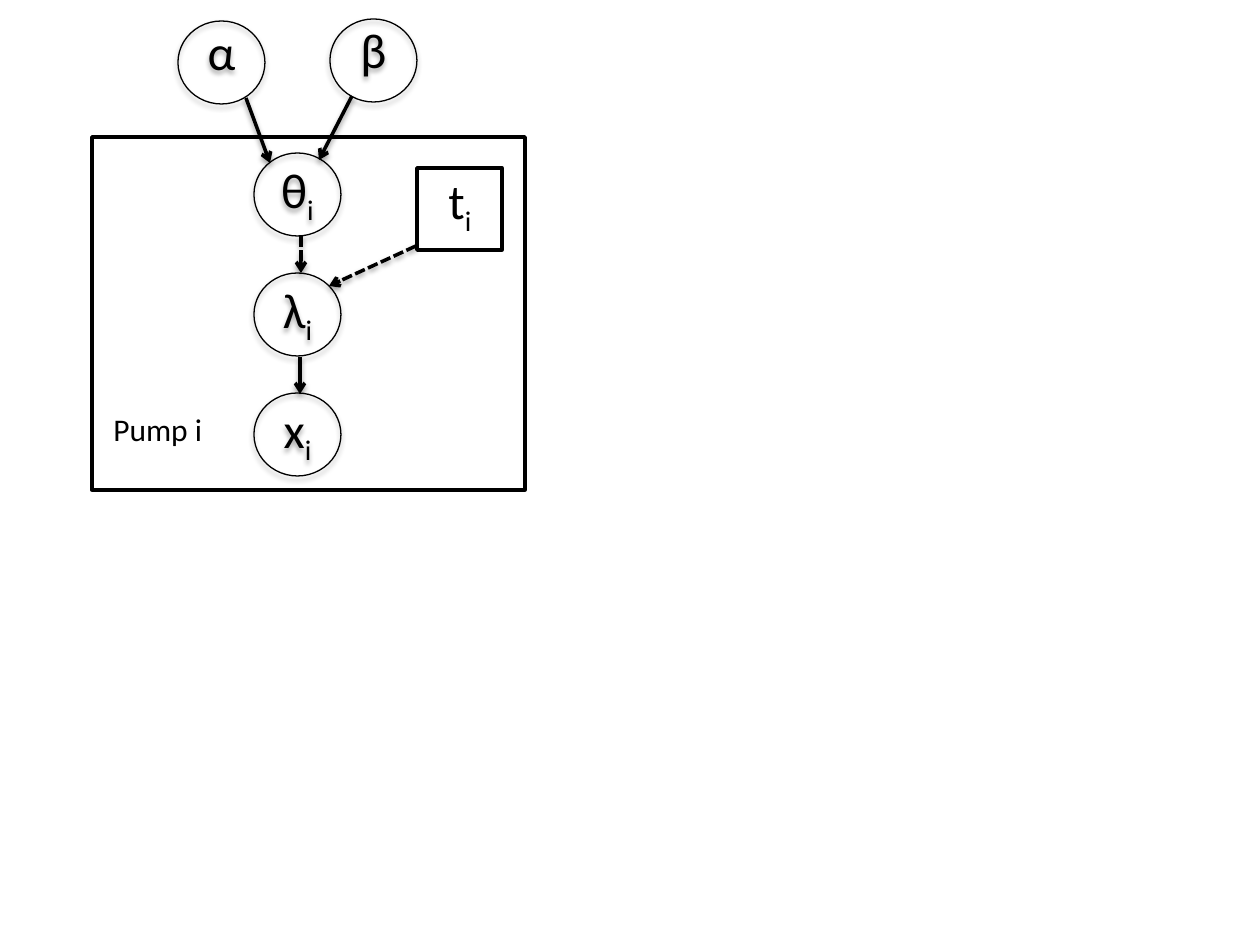
import pptx
import pptx.util
import pptx.dml.color
import pptx.enum.dml
import pptx.enum.shapes
import pptx.enum.text
import pptx.oxml.ns
import lxml.etree

BLACK = pptx.dml.color.RGBColor(0, 0, 0)
WHITE = pptx.dml.color.RGBColor(255, 255, 255)
SCALE = 914400 // 126
NODE_W, NODE_H = 87, 83
SHAPES = pptx.enum.shapes.MSO_SHAPE
Pt = pptx.util.Pt


def px(*values):
    return [round(v * SCALE) for v in values]


def add_child(parent, tag, **attrs):
    child = lxml.etree.SubElement(parent, pptx.oxml.ns.qn(tag))
    for name, value in attrs.items():
        child.set(name, str(value))
    return child


def add_shadow(effects, dist, alpha):
    shadow = add_child(effects, "a:outerShdw", blurRad=Pt(3.1), dist=Pt(dist),
                       dir=5400000, rotWithShape=0)
    color = add_child(shadow, "a:srgbClr", val="000000")
    add_child(color, "a:alpha", val=alpha * 1000)


def add_run(p, text, size, subscript=False):
    r = p.add_run()
    r.text = text
    r.font.size = Pt(size)
    r.font.name = "Calibri"
    r.font.color.rgb = BLACK
    if subscript:
        r._r.get_or_add_rPr().set("baseline", "-25000")


def add_symbol(p, symbol, index):
    add_run(p, symbol, 28)
    if index:
        add_run(p, index, 28, subscript=True)


def add_outline(s, kind, box, width, fill=None):
    sp = s.shapes.add_shape(kind, *px(*box))
    sp.shadow.inherit = False
    if fill is None:
        sp.fill.background()
    else:
        sp.fill.solid()
        sp.fill.fore_color.rgb = fill
    sp.line.color.rgb = BLACK
    sp.line.width = Pt(width)
    return sp


def add_node(s, x, y, symbol, index=""):
    sp = add_outline(s, SHAPES.OVAL, (x, y, NODE_W, NODE_H), 0.75)
    add_shadow(sp._element.spPr.find(pptx.oxml.ns.qn("a:effectLst")), 1.8, 35)
    tf = sp.text_frame
    tf.word_wrap = False
    tf.vertical_anchor = pptx.enum.text.MSO_ANCHOR.MIDDLE
    bottom = 6 if index else 30
    tf.margin_left, tf.margin_top, tf.margin_right, tf.margin_bottom = px(0, 6, 0, bottom)
    p = tf.paragraphs[0]
    p.alignment = pptx.enum.text.PP_ALIGN.CENTER
    if index:
        p.line_spacing = 0.7
    add_symbol(p, symbol, index)


def add_label(s, box):
    tf = s.shapes.add_textbox(*px(*box)).text_frame
    tf.word_wrap = True
    return tf.paragraphs[0]


def add_observed(s, x, y, symbol, index):
    add_outline(s, SHAPES.RECTANGLE, (x, y, 85, 82), 2, WHITE)
    add_symbol(add_label(s, (x + 19, y - 4, 96, 72)), symbol, index)


def add_arrow(s, x1, y1, x2, y2, dashed=False):
    c = s.shapes.add_connector(pptx.enum.shapes.MSO_CONNECTOR.STRAIGHT, *px(x1, y1, x2, y2))
    c.line.color.rgb = BLACK
    c.line.width = Pt(2)
    if dashed:
        c.line.dash_style = pptx.enum.dml.MSO_LINE.SQUARE_DOT
    add_child(c.line._get_or_add_ln(), "a:tailEnd", type="arrow")
    add_shadow(add_child(c._element.spPr, "a:effectLst"), 1.6, 38)


def add_priors(s, x, y):
    add_node(s, x, y + 2, "α")
    add_node(s, x + 152, y, "β")
    add_arrow(s, x + 68, y + 79, x + 92, y + 144)
    add_arrow(s, x + 174, y + 77, x + 141, y + 141)


def add_plate(s, x, y, w, h):
    add_outline(s, SHAPES.RECTANGLE, (x, y, w, h), 2, WHITE)
    add_run(add_label(s, (x + 9, y + 267, 315, 50)), "Pump i", 18)
    for row, symbol in enumerate("θλx"):
        add_node(s, x + 162, y + 16 + 120 * row, symbol, "i")
    add_observed(s, x + 325, y + 31, "t", "i")
    add_arrow(s, x + 209, y + 99, x + 209, y + 136, dashed=True)
    add_arrow(s, x + 208, y + 220, x + 208, y + 257)
    add_arrow(s, x + 324, y + 109, x + 237, y + 149, dashed=True)


prs = pptx.Presentation()
prs.slide_width, prs.slide_height = px(1260, 945)
s = prs.slides.add_slide(prs.slide_layouts[6])
add_plate(s, 92, 137, 433, 353)
add_priors(s, 178, 19)
prs.save("out.pptx")
